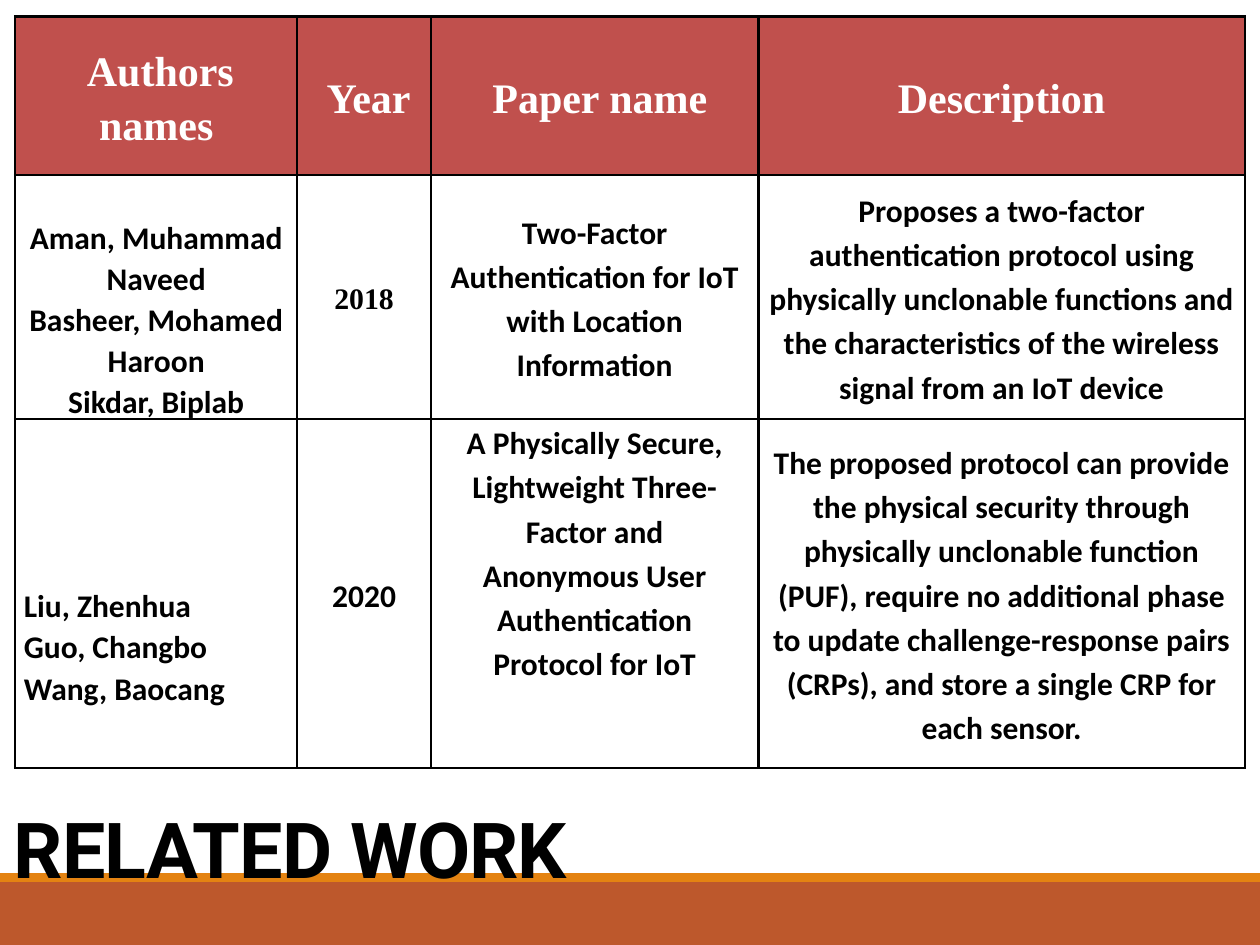
from lxml.etree import SubElement
from pptx import Presentation
from pptx.dml.color import RGBColor
from pptx.enum.shapes import MSO_SHAPE as Shape
from pptx.enum.text import MSO_ANCHOR as Anchor, PP_ALIGN as Align
from pptx.oxml.ns import qn
from pptx.util import Inches, Pt

WIDTH, HEIGHT = 10, 7.5
BLACK, WHITE, RED = "000000", "FFFFFF", "C0504D"
SERIF, SANS = "Times New Roman", "Calibri"
COLUMNS = [2.24, 1.06, 2.6, 3.86]
ROWS = [1.26, 1.93, 2.77]
AUTHOR_LINE, BODY_LINE = 0.33, 0.35

HEADINGS = [" Authors names", " Year", " Paper name", "Description"]
PAPERS = [
    {
        "authors": ["Aman, Muhammad Naveed", "Basheer, Mohamed Haroon", "Sikdar, Biplab"],
        "author_align": Align.CENTER,
        "lines_above": 1,
        "year": "2018",
        "year_style": (17, SERIF),
        "name": ["Two-Factor Authentication for IoT with Location Information"],
        "lines_below": 0,
        "description": "Proposes a two-factor authentication protocol using physically "
        "unclonable functions and the characteristics of the wireless signal from an IoT device",
    },
    {
        "authors": ["Liu, Zhenhua", "Guo, Changbo", "Wang, Baocang"],
        "author_align": Align.LEFT,
        "lines_above": 4,
        "year": "2020",
        "year_style": (18, SANS),
        "name": ["A Physically Secure, Lightweight Three-Factor and",
                 "Anonymous User Authentication Protocol for IoT"],
        "lines_below": 2,
        "description": "The proposed protocol can provide the physical security through "
        "physically unclonable function (PUF), require no additional phase to update "
        "challenge-response pairs (CRPs), and store a single CRP for each sensor.",
    },
]


def color(code):
    return RGBColor.from_string(code)


def add_span(para, text, size, font, ink):
    span = para.add_run()
    span.text = text
    span.font.size = Pt(size)
    span.font.name = font
    span.font.bold = True
    span.font.color.rgb = color(ink)
    return span


def add_band(page, left, top, width, height, fill):
    band = page.shapes.add_shape(
        Shape.RECTANGLE, Inches(left), Inches(top), Inches(width), Inches(height))
    band.shadow.inherit = False
    band.fill.solid()
    band.fill.fore_color.rgb = color(fill)
    band.line.fill.background()


def add_title(page, left, top, width, height):
    box = page.shapes.add_textbox(Inches(left), Inches(top), Inches(width), Inches(height))
    frame = box.text_frame
    frame.word_wrap = True
    frame.vertical_anchor = Anchor.BOTTOM
    para = frame.paragraphs[0]
    para.line_spacing = 0.85
    span = add_span(para, "RELATED WORK", 44.1, "Roboto", BLACK)
    span.font._element.set("spc", "-50")


def add_borders(cell):
    properties = cell._tc.get_or_add_tcPr()
    for position, side in enumerate(("lnL", "lnR", "lnT", "lnB")):
        line = properties.makeelement(qn(f"a:{side}"), {"w": str(Pt(1.5))})
        fill = SubElement(line, qn("a:solidFill"))
        SubElement(fill, qn("a:srgbClr"), val=BLACK)
        properties.insert(position, line)


def fill_cell(cell, paragraphs, size=18, font=SANS, ink=BLACK, fill=None, align=Align.CENTER,
              spacing=1.15, anchor=Anchor.MIDDLE, above=0, below=0):
    cell.margin_left = cell.margin_right = Inches(0.07)
    cell.margin_top, cell.margin_bottom = Inches(above), Inches(below)
    cell.vertical_anchor = anchor
    if fill:
        cell.fill.solid()
        cell.fill.fore_color.rgb = color(fill)
    else:
        cell.fill.background()
    add_borders(cell)
    frame = cell.text_frame
    for index, lines in enumerate(paragraphs):
        para = frame.add_paragraph() if index else frame.paragraphs[0]
        para.alignment = align
        para.line_spacing = spacing
        for number, text in enumerate(lines):
            if number:
                para.add_line_break()
            add_span(para, text, size, font, ink)


def fill_paper(table, row, paper):
    authors, year, name, description = (table.cell(row, column) for column in range(4))
    fill_cell(authors, [[author] for author in paper["authors"]], align=paper["author_align"],
              spacing=1.07, anchor=Anchor.TOP, above=paper["lines_above"] * AUTHOR_LINE)
    fill_cell(year, [[paper["year"]]], *paper["year_style"])
    fill_cell(name, [paper["name"]], below=paper["lines_below"] * BODY_LINE)
    fill_cell(description, [[paper["description"]]])


def add_papers(page, left, top):
    table = page.shapes.add_table(
        len(ROWS), len(COLUMNS), Inches(left), Inches(top),
        Inches(sum(COLUMNS)), Inches(sum(ROWS))).table
    for column, width in zip(table.columns, COLUMNS):
        column.width = Inches(width)
    for row, height in zip(table.rows, ROWS):
        row.height = Inches(height)
    for column, heading in enumerate(HEADINGS):
        fill_cell(table.cell(0, column), [[heading]], 24, SERIF, WHITE, RED)
    for row, paper in enumerate(PAPERS, 1):
        fill_paper(table, row, paper)


def main():
    deck = Presentation()
    deck.slide_width, deck.slide_height = Inches(WIDTH), Inches(HEIGHT)
    page = deck.slides.add_slide(deck.slide_layouts[6])
    add_band(page, 0, HEIGHT - 0.5, WIDTH, 0.5, "BD582C")
    add_band(page, 0, HEIGHT - 0.57, WIDTH, 0.07, "E48312")
    add_title(page, 0.01, 6.43, 8.18, 0.72)
    add_papers(page, 0.12, 0.13)
    deck.save("out.pptx")


if __name__ == "__main__":
    main()
